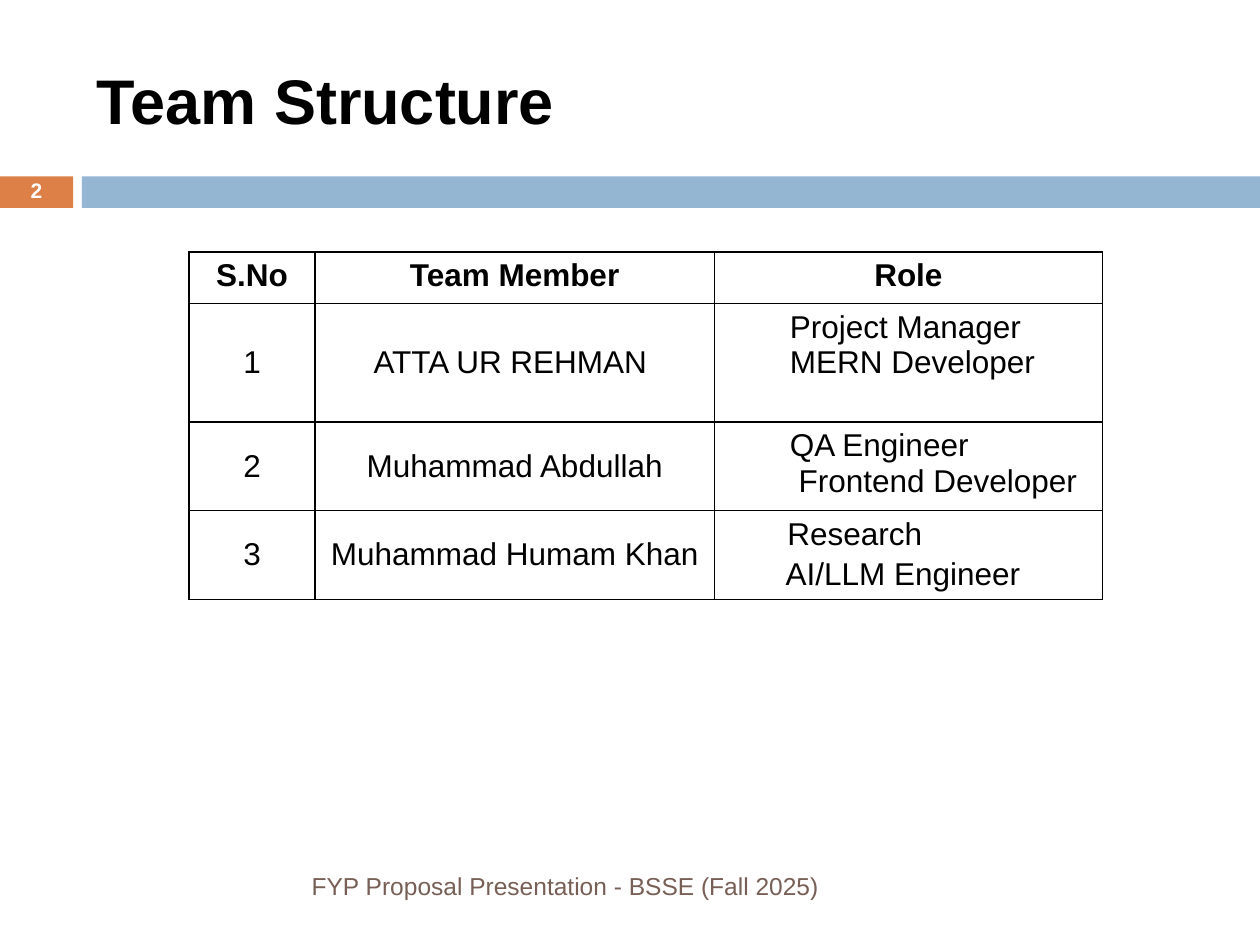
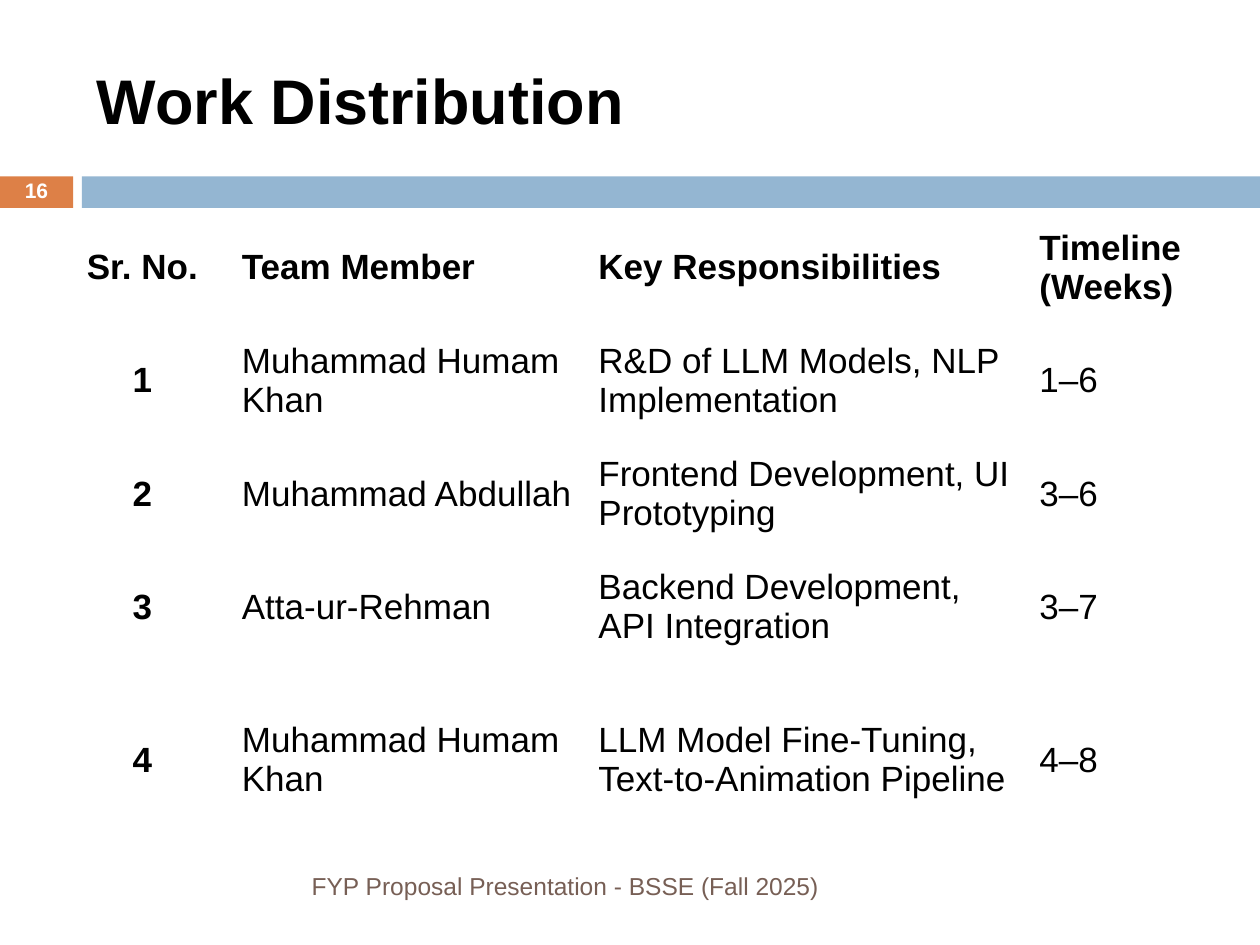
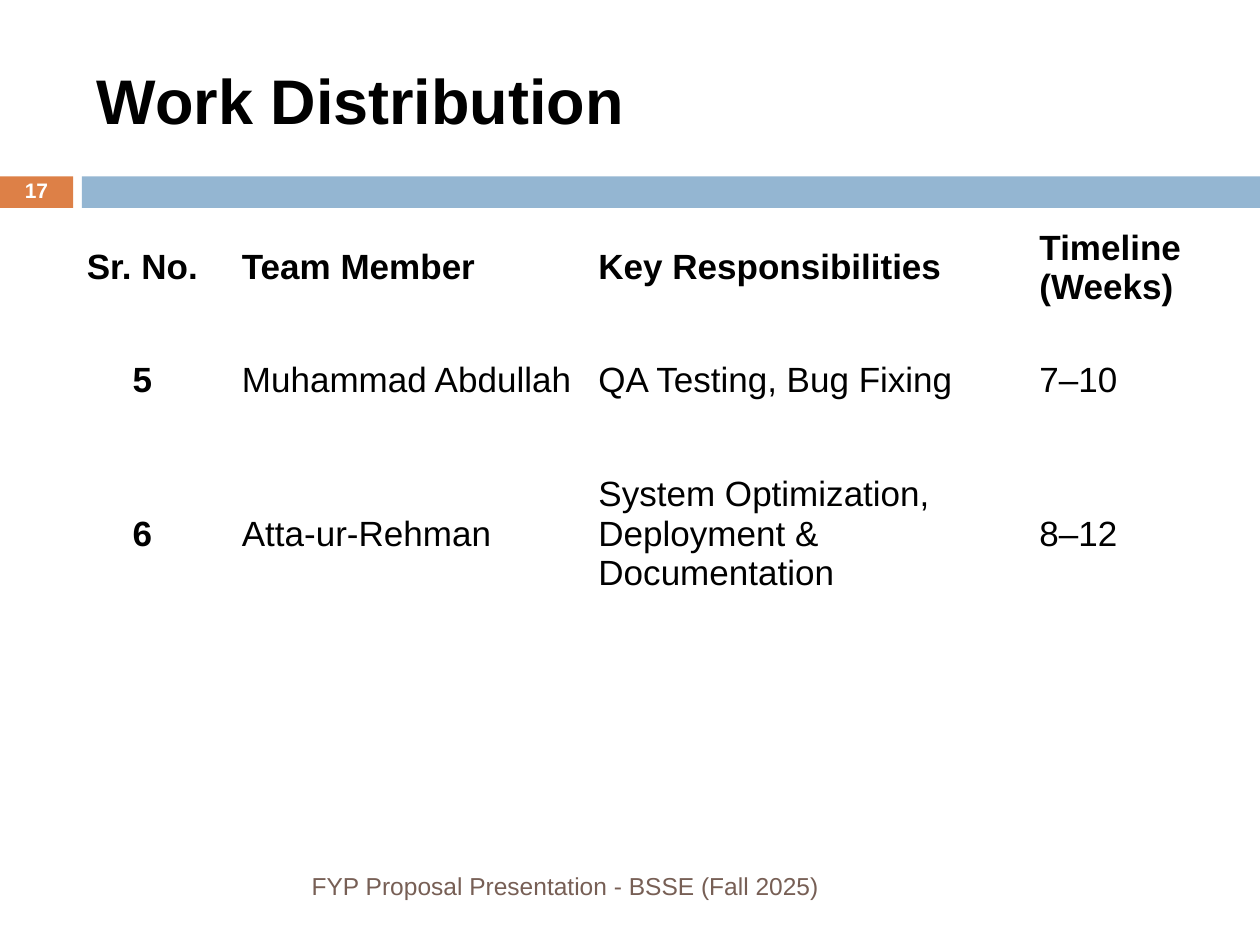
from lxml import etree
from pptx import Presentation
from pptx import util as u
from pptx.dml.color import RGBColor
from pptx.enum import shapes, text
from pptx.oxml.ns import qn

FONT = "Arial"
BLACK, WHITE, ORANGE, BLUE, BROWN = "000000", "FFFFFF", "DD8047", "94B6D2", "775F55"
LEFT, CENTRE, RIGHT = text.PP_ALIGN.LEFT, text.PP_ALIGN.CENTER, text.PP_ALIGN.RIGHT
TOP, MIDDLE = text.MSO_ANCHOR.TOP, text.MSO_ANCHOR.MIDDLE
NO_STYLE = "{2D5ABB26-0587-4C30-8999-92F81FD0307C}"
WIDTH, HEIGHT = 10, 7.5
BAND_TOP, BAND_HEIGHT, NUMBER_WIDTH = 1.4, 0.25, 0.58
FOOTER = "FYP Proposal Presentation - BSSE (Fall 2025)"


def rgb(code):
    return RGBColor.from_string(code)


def write(frame, words, size, bold=False, colour=BLACK, align=LEFT):
    """Fill a text frame and give all its paragraphs one format."""
    frame.text = words
    frame.word_wrap = True
    for paragraph in frame.paragraphs:
        paragraph.alignment = align
        for run in paragraph.runs:
            run.font.name, run.font.size, run.font.bold = FONT, u.Pt(size), bold
            run.font.color.rgb = rgb(colour)


team_rows = [
    ("S.No", "Team Member", "Role"),
    ("1", "ATTA UR REHMAN ", "Project Manager\nMERN Developer"),
    ("2", "Muhammad Abdullah", "QA Engineer\n Frontend Developer"),
    ("3", "Muhammad Humam Khan ", " Research\v AI/LLM Engineer"),
]
work_header = ("Sr. No.", "Team Member", "Key Responsibilities", "Timeline (Weeks)")
work_start = [
    work_header,
    ("1", "Muhammad Humam Khan", "R&D of LLM Models, NLP Implementation", "1–6"),
    ("2", "Muhammad Abdullah", "Frontend Development, UI Prototyping", "3–6"),
    ("3", "Atta-ur-Rehman", "Backend Development, API Integration", "3–7"),
    ("4", "Muhammad Humam Khan", "LLM Model Fine-Tuning, Text-to-Animation Pipeline", "4–8"),
]
work_end = [
    work_header,
    ("5", "Muhammad Abdullah", "QA Testing, Bug Fixing", "7–10"),
    ("6", "Atta-ur-Rehman", "System Optimization, Deployment & Documentation", "8–12"),
]
team_columns, work_columns = [1, 3.17, 3.08], [1.42, 2.83, 3.5, 1.42]

# title, slide number, rows, left, top, column widths, row heights
pages = [
    ("Team Structure", 2, team_rows, 1.5, 2, team_columns, [0.41, 0.94, 0.66, 0.66]),
    ("Work Distribution", 16, work_start, 0.42, 1.75, work_columns,
     [0.73, 1.05, 0.73, 1.05, 1.38]),
    ("Work Distribution", 17, work_end, 0.42, 1.75, work_columns, [0.73, 1.05, 1.38]),
]

deck = Presentation()
deck.slide_width, deck.slide_height = u.Inches(WIDTH), u.Inches(HEIGHT)

for title, number, rows, left, top, widths, heights in pages:
    slide = deck.slides.add_slide(deck.slide_layouts[6])

    # Bands, title, footer and slide number
    band_left = 0.65
    for x, width, colour in [(0, NUMBER_WIDTH, ORANGE), (band_left, WIDTH - band_left, BLUE)]:
        band = slide.shapes.add_shape(
            shapes.MSO_SHAPE.RECTANGLE, u.Inches(x), u.Inches(BAND_TOP),
            u.Inches(width), u.Inches(BAND_HEIGHT))
        band.shadow.inherit = False
        band.fill.solid()
        band.fill.fore_color.rgb = rgb(colour)
        band.line.fill.background()

    for box, words, size, bold, colour, align in [
        ((0.67, 0.25, 8.92, 1.08), title, 36, True, BLACK, LEFT),
        ((0.67, 6.83, 5.93, 0.4), FOOTER, 14, False, BROWN, RIGHT),
        ((0, 1.39, NUMBER_WIDTH, 0.27), str(number), 12, True, WHITE, CENTRE),
    ]:
        frame = slide.shapes.add_textbox(*map(u.Inches, box)).text_frame
        frame.vertical_anchor = MIDDLE
        write(frame, words, size, bold, colour, align)
    frame.paragraphs[0].line_spacing = 0.8

    # Table: the team is ruled and centred, the work plan is open
    is_team = rows is team_rows
    table = slide.shapes.add_table(
        len(rows), len(widths), u.Inches(left), u.Inches(top),
        u.Inches(sum(widths)), u.Inches(sum(heights))).table
    table.first_row = table.horz_banding = False
    table._tbl.tblPr.find(qn("a:tableStyleId")).text = NO_STYLE
    for column, width in zip(table.columns, widths):
        column.width = u.Inches(width)
    for row, height in zip(table.rows, heights):
        row.height = u.Inches(height)

    for r, row in enumerate(rows):
        for c, words in enumerate(row):
            cell = table.cell(r, c)
            is_role = is_team and r > 0 and c == 2
            centred = c == 0 or (is_team and not is_role)
            bold = r == 0 or (c == 0 and not is_team)
            write(cell.text_frame, words, 18 if is_team else 20, bold,
                  align=CENTRE if centred else LEFT)
            side, edge = (0.1, 0.05) if is_team else (0.08, 0.04)
            if is_role and r == 3:
                side = edge = 0.01
                cell.text_frame.paragraphs[0].line_spacing = 1.15
                cell.text_frame.paragraphs[0].space_after = u.Pt(8)
            cell.margin_left = cell.margin_right = u.Inches(side)
            cell.margin_top = cell.margin_bottom = u.Inches(edge)
            cell.vertical_anchor = TOP if is_team and (r == 0 or is_role) else MIDDLE
            if is_role:
                for paragraph in cell.text_frame.paragraphs:
                    paragraph.level = 1
                    properties = paragraph._p.get_or_add_pPr()
                    properties.set("marL", str(u.Inches(0.5)))
                    properties.set("indent", "0")
            if is_team:
                for border in ("a:lnL", "a:lnR", "a:lnT", "a:lnB"):
                    line = etree.SubElement(
                        cell._tc.get_or_add_tcPr(), qn(border), w=str(u.Pt(1)))
                    fill = etree.SubElement(line, qn("a:solidFill"))
                    etree.SubElement(fill, qn("a:srgbClr"), val=BLACK)
            if is_team and r == 0:
                cell.fill.solid()
                cell.fill.fore_color.rgb = rgb(WHITE)
            else:
                cell.fill.background()

deck.save("out.pptx")
